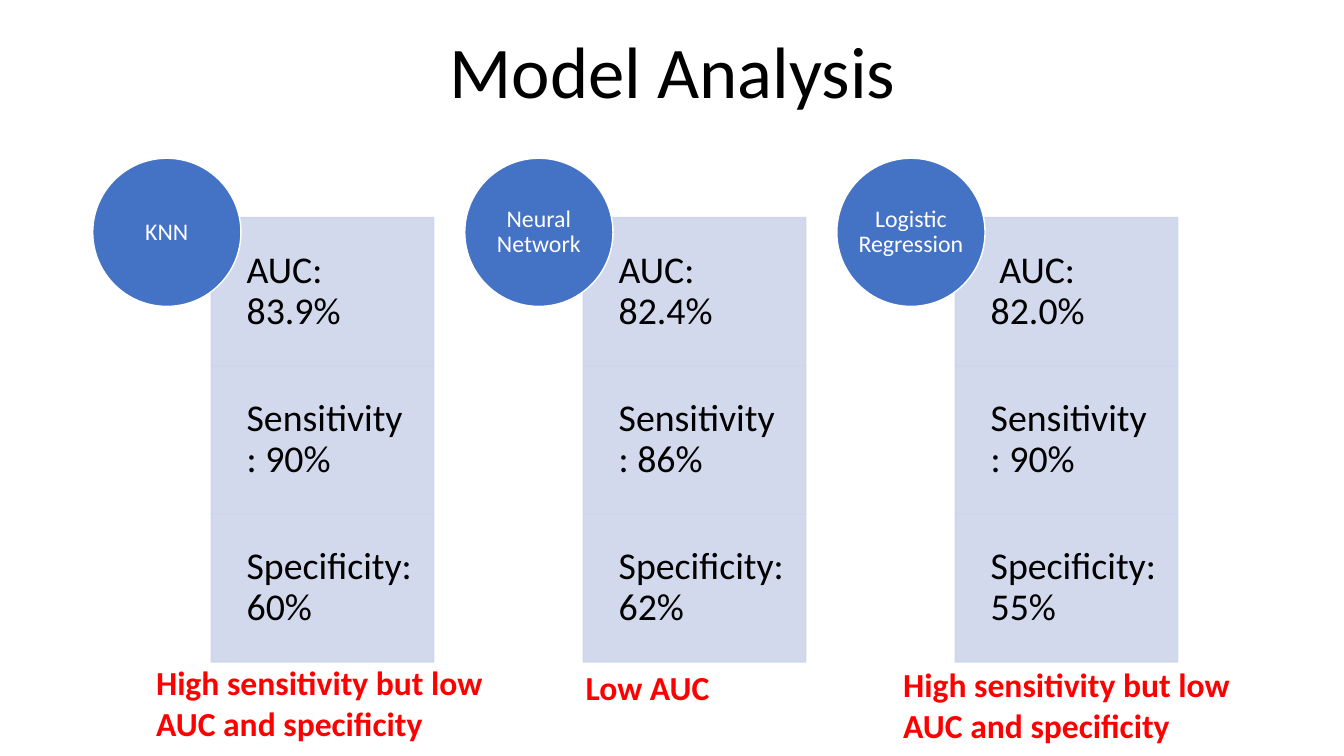
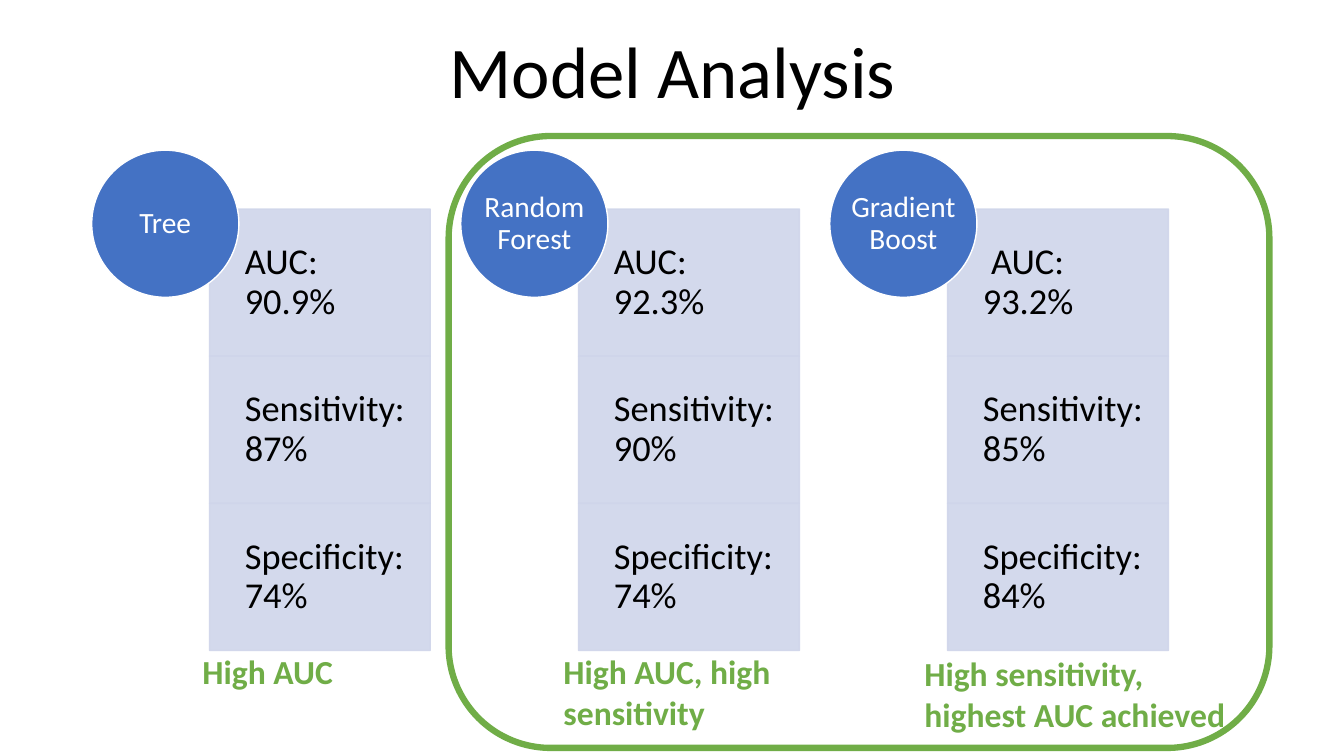
from lxml.etree import SubElement
from pptx import Presentation
from pptx.dml.color import RGBColor
from pptx.enum.shapes import MSO_SHAPE
from pptx.enum.text import MSO_ANCHOR, MSO_AUTO_SIZE, PP_ALIGN
from pptx.oxml.ns import qn
from pptx.util import Inches, Pt

FONT = "Calibri"
BLACK = RGBColor(0x00, 0x00, 0x00)
WHITE = RGBColor(0xFF, 0xFF, 0xFF)
BLUE = RGBColor(0x44, 0x72, 0xC4)
PALE_BLUE = RGBColor(0xCF, 0xD5, 0xEA)
RED = RGBColor(0xFF, 0x00, 0x00)
GREEN = RGBColor(0x70, 0xAD, 0x47)

METRICS = ("AUC", "Sensitivity", "Specificity")

# Each model: name, metric values, prefix of the first metric
# Each verdict: text, left, top, width
SLIDES = [
    {
        "left": 0.92, "top": 1.57, "circle": 1.47, "pitch": 3.69,
        "inset": 0.21, "metric_size": 27, "name_size": 17,
        "models": [
            ("KNN", ("83.9%", "90%", "60%"), ""),
            ("Neural Network", ("82.4%", "86%", "62%"), ""),
            ("Logistic Regression", ("82.0%", "90%", "55%"), " "),
        ],
        "verdict_color": RED,
        "verdicts": [
            ("High sensitivity but low AUC and specificity", 1.45, 6.52, 3.47),
            ("Low AUC", 5.71, 6.57, 2.89),
            ("High sensitivity but low AUC and specificity", 8.86, 6.54, 3.82),
        ],
        "highlight": None,
    },
    {
        "left": 0.91, "top": 1.49, "circle": 1.46, "pitch": 3.66,
        "inset": 0.2, "metric_size": 26, "name_size": 21,
        "models": [
            ("Tree", ("90.9%", "87%", "74%"), ""),
            ("Random Forest", ("92.3%", "90%", "74%"), ""),
            ("Gradient Boost", ("93.2%", "85%", "84%"), " "),
        ],
        "verdict_color": GREEN,
        "verdicts": [
            ("High AUC", 1.91, 6.41, 2.89),
            ("High AUC, high sensitivity", 5.49, 6.41, 2.89),
            ("High sensitivity, highest AUC achieved", 9.07, 6.43, 3.27),
        ],
        "highlight": (4.45, 1.35, 8.14, 6.07),
    },
]


def write_text(shape, text, size, color, align=PP_ALIGN.LEFT, spacing=0.9, bold=False):
    shape.text_frame.text = text
    shape.text_frame.word_wrap = True
    paragraph = shape.text_frame.paragraphs[0]
    paragraph.alignment = align
    paragraph.line_spacing = spacing
    paragraph.font.name = FONT
    paragraph.font.size = Pt(size)
    paragraph.font.bold = bold
    paragraph.font.color.rgb = color


def add_box(slide, kind, bounds, fill, line, line_width=1, insets=(0, 0, 0, 0)):
    shape = slide.shapes.add_shape(kind, *(Inches(value) for value in bounds))
    shape.shadow.inherit = False
    if fill is None:
        shape.fill.background()
    else:
        shape.fill.solid()
        shape.fill.fore_color.rgb = fill
    shape.line.color.rgb = line
    shape.line.width = Pt(line_width)
    frame = shape.text_frame
    frame.vertical_anchor = MSO_ANCHOR.MIDDLE
    frame.margin_left, frame.margin_top, frame.margin_right, frame.margin_bottom = (
        Inches(value) for value in insets)
    return shape


presentation = Presentation()
presentation.slide_width = Inches(13.33)
presentation.slide_height = Inches(7.5)

for content in SLIDES:
    slide = presentation.slides.add_slide(presentation.slide_layouts[5])

    # Title
    title = slide.shapes.title
    title.left, title.top = Inches(0.92), Inches(0.12)
    title.width, title.height = Inches(11.5), Inches(1.24)
    write_text(title, "Model Analysis", 52, BLACK, PP_ALIGN.CENTER)
    title.text_frame.vertical_anchor = MSO_ANCHOR.MIDDLE
    title.text_frame.auto_size = MSO_AUTO_SIZE.NONE

    # Model columns: stacked metrics with the name circle over the corner
    circle = content["circle"]
    inset = content["inset"]
    for column, (name, values, prefix) in enumerate(content["models"]):
        left = content["left"] + column * content["pitch"]
        for row, (metric, value) in enumerate(zip(METRICS, values)):
            bounds = (left + 0.8 * circle, content["top"] + (0.4 + row) * circle,
                      1.5 * circle, circle)
            cell = add_box(slide, MSO_SHAPE.RECTANGLE, bounds, PALE_BLUE, PALE_BLUE,
                           insets=(0.35, inset, inset, inset))
            for color in cell._element.spPr.iter(qn("a:srgbClr")):
                SubElement(color, qn("a:alpha"), val="90000")
            label = f"{prefix if row == 0 else ''}{metric}: {value}"
            write_text(cell, label, content["metric_size"], BLACK)
        # Negative side insets keep the longest word on one line
        badge = add_box(slide, MSO_SHAPE.OVAL, (left, content["top"], circle, circle),
                        BLUE, WHITE, insets=(-0.05, 0, -0.05, 0))
        write_text(badge, name, content["name_size"], WHITE, PP_ALIGN.CENTER)

    # Frame around the best models
    if content["highlight"]:
        add_box(slide, MSO_SHAPE.ROUNDED_RECTANGLE, content["highlight"], None, GREEN, 4.5)

    # Verdicts under the columns
    for text, left, top, width in content["verdicts"]:
        height = 0.5 if len(text) < 10 else 0.91
        verdict = slide.shapes.add_textbox(Inches(left), Inches(top), Inches(width), Inches(height))
        write_text(verdict, text, 24, content["verdict_color"], spacing=1.0, bold=True)

presentation.save("out.pptx")
